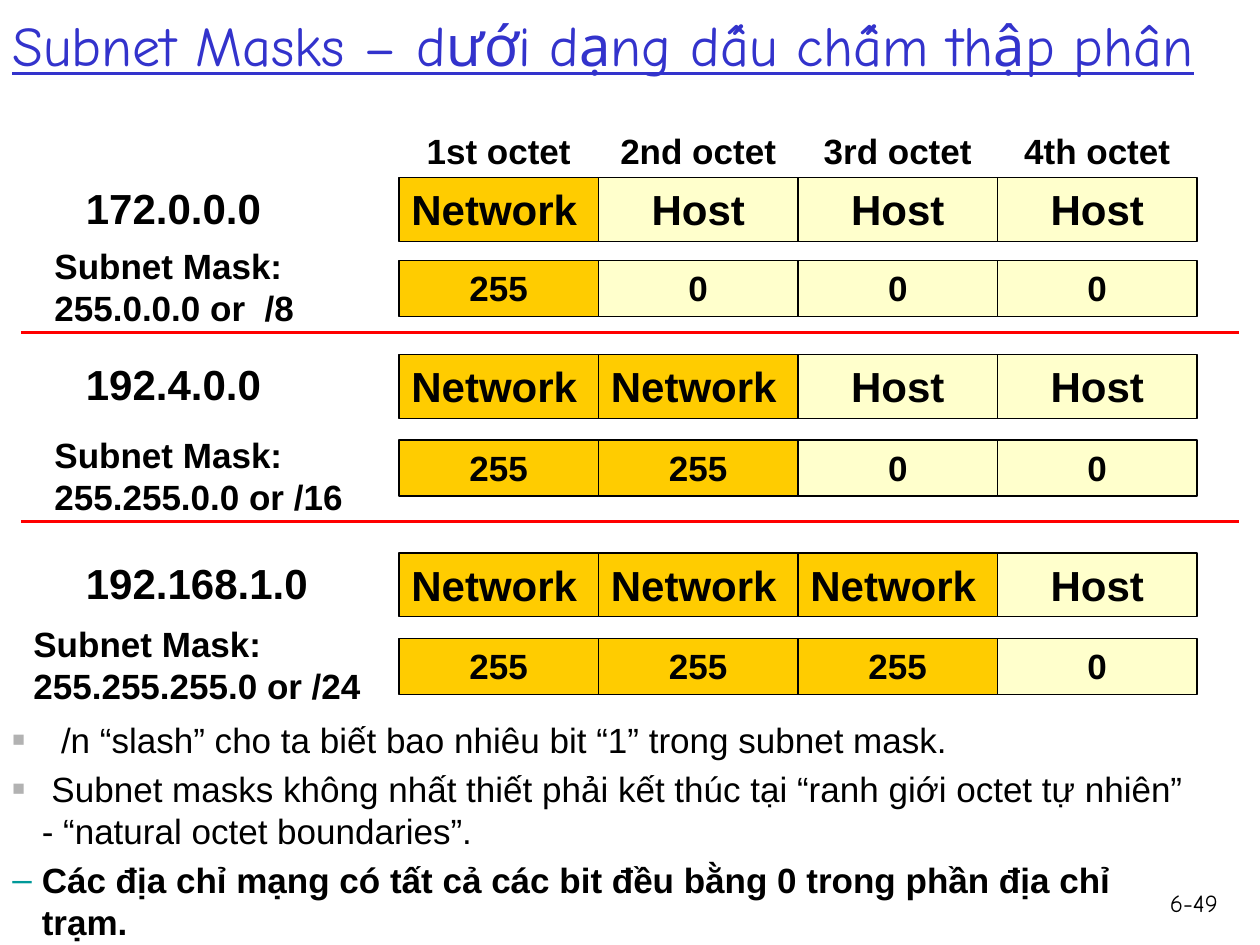
from lxml import etree
from pptx import Presentation
from pptx.dml.color import RGBColor
from pptx.enum.shapes import MSO_CONNECTOR, MSO_SHAPE
from pptx.enum.text import MSO_ANCHOR, PP_ALIGN
from pptx.oxml.ns import qn
from pptx.util import Pt

LEFT, CENTER, RIGHT = PP_ALIGN.LEFT, PP_ALIGN.CENTER, PP_ALIGN.RIGHT
TOP, MIDDLE = MSO_ANCHOR.TOP, MSO_ANCHOR.MIDDLE
RECTANGLE = MSO_SHAPE.RECTANGLE
STRAIGHT = MSO_CONNECTOR.STRAIGHT

BLACK = RGBColor(0x00, 0x00, 0x00)
TITLE_BLUE = RGBColor(0x33, 0x33, 0xCC)
NETWORK_GOLD = RGBColor(0xFF, 0xCC, 0x00)
HOST_CREAM = RGBColor(0xFF, 0xFF, 0xCC)
RULE_RED = RGBColor(0xFF, 0x00, 0x00)
BULLET_GRAY = RGBColor(0xB2, 0xB2, 0xB2)
BULLET_TEAL = RGBColor(0x00, 0x99, 0x99)

BODY_FONT = "Arial"
HAND_FONT = "Comic Neue"

OCTETS = ["1st octet", "2nd octet", "3rd octet", "4th octet"]
GRID_LEFT = 228
OCTET_WIDTH = 114
MASK_LABEL_TOP = 136
RULE_TOP = 190
GROUP_PITCH = 108

# address, mask label, label left, label width, address row top, mask row top
GROUPS = [
    ("172.0.0.0", "Subnet Mask: 255.0.0.0 or  /8", 24, 192, 101.5, 149),
    ("192.4.0.0", "Subnet Mask: 255.255.0.0 or /16", 24, 192, 202.5, 251.5),
    ("192.168.1.0", "Subnet Mask: 255.255.255.0 or /24", 12, 204, 316, 365),
]

# text, bold, bullet, bullet colour, bullet size in percent, left margin
NOTES = [
    ("/n “slash” cho ta biết bao nhiêu bit “1” trong subnet mask.",
     False, "■", BULLET_GRAY, 60, 27.8),
    (" Subnet masks không nhất thiết phải kết thúc tại “ranh giới octet tự "
     "nhiên” - “natural octet boundaries”.",
     False, "■", BULLET_GRAY, 60, 16.8),
    ("Các địa chỉ mạng có tất cả các bit đều bằng 0 trong phần địa chỉ trạm.",
     True, "–", BULLET_TEAL, 100, 16.8),
]


def format_paragraph(paragraph, text, size=20, font=BODY_FONT, color=BLACK,
                     bold=False, underline=False, align=LEFT):
    paragraph.text = text
    paragraph.alignment = align
    paragraph.font.size = Pt(size)
    paragraph.font.name = font
    paragraph.font.color.rgb = color
    paragraph.font.bold = bold
    paragraph.font.underline = underline


def add_text(slide, text, box, anchor=TOP, **text_format):
    shape = slide.shapes.add_textbox(*map(Pt, box))
    shape.text_frame.word_wrap = True
    shape.text_frame.vertical_anchor = anchor
    format_paragraph(shape.text_frame.paragraphs[0], text, **text_format)
    return shape


def add_cell(slide, text, box, fill, **text_format):
    shape = slide.shapes.add_shape(RECTANGLE, *map(Pt, box))
    shape.shadow.inherit = False
    shape.fill.solid()
    shape.fill.fore_color.rgb = fill
    shape.line.color.rgb = BLACK
    shape.line.width = Pt(0.75)
    shape.text_frame.word_wrap = True
    shape.text_frame.vertical_anchor = TOP
    format_paragraph(shape.text_frame.paragraphs[0], text, bold=True, **text_format)


def add_rule(slide, left, top, width):
    line = slide.shapes.add_connector(STRAIGHT, Pt(left), Pt(top), Pt(left + width), Pt(top))
    line.line.color.rgb = RULE_RED
    line.line.width = Pt(2)
    etree.SubElement(line._element.spPr, qn("a:effectLst"))


def set_bullet(paragraph, character, color, percent, margin):
    properties = paragraph._p.get_or_add_pPr()
    properties.set("marL", str(Pt(margin)))
    properties.set("indent", str(-Pt(margin)))
    bullet_color = etree.SubElement(properties, qn("a:buClr"))
    etree.SubElement(bullet_color, qn("a:srgbClr"), val=str(color))
    etree.SubElement(properties, qn("a:buSzPct"), val=str(percent * 1000))
    etree.SubElement(properties, qn("a:buFont"), typeface=BODY_FONT)
    etree.SubElement(properties, qn("a:buChar"), char=character)


def octet_box(index, top, height):
    return GRID_LEFT + index * OCTET_WIDTH, top, OCTET_WIDTH, height


def add_octet_headings(slide, top, height):
    for index, heading in enumerate(OCTETS):
        add_text(slide, heading, octet_box(index, top, height), bold=True, align=CENTER)


def add_address_group(slide, index, group):
    """Place one address with its mask; the first index + 1 octets are network."""
    address, mask, mask_left, mask_width, address_top, mask_top = group
    add_text(slide, address, (42, address_top - 1, 180, 36), size=24, bold=True)
    label_top = MASK_LABEL_TOP + index * GROUP_PITCH
    add_text(slide, mask, (mask_left, label_top, mask_width, 55.5), bold=True)
    for octet in range(len(OCTETS)):
        if octet <= index:
            name, value, fill, align = "Network", "255", NETWORK_GOLD, LEFT
        else:
            name, value, fill, align = "Host", "0", HOST_CREAM, CENTER
        add_cell(slide, name, octet_box(octet, address_top, 36.5), fill, size=24, align=align)
        add_cell(slide, value, octet_box(octet, mask_top, 32), fill, align=CENTER)


def add_notes_list(slide, box):
    shape = slide.shapes.add_textbox(*map(Pt, box))
    frame = shape.text_frame
    frame.word_wrap = True
    for index, (text, bold, *bullet) in enumerate(NOTES):
        paragraph = frame.add_paragraph() if index else frame.paragraphs[0]
        set_bullet(paragraph, *bullet)
        if index:
            paragraph.space_before = Pt(4)
        format_paragraph(paragraph, text, bold=bold)


def main():
    presentation = Presentation()
    presentation.slide_width = Pt(720)
    presentation.slide_height = Pt(540)
    slide = presentation.slides.add_slide(presentation.slide_layouts[6])

    add_text(slide, "Subnet Masks – dưới dạng dấu chấm thập phân", (0, -20, 720, 90),
             anchor=MIDDLE, size=32, font=HAND_FONT, color=TITLE_BLUE, underline=True)
    add_octet_headings(slide, 70.5, 31)
    for index, group in enumerate(GROUPS):
        add_address_group(slide, index, group)
    for index in range(len(GROUPS) - 1):
        add_rule(slide, 12, RULE_TOP + index * GROUP_PITCH, 696)
    add_notes_list(slide, (0, 407, 690, 113))
    add_text(slide, "6-49", (654, 504, 49, 36), size=14, font=HAND_FONT, align=RIGHT)

    presentation.save("out.pptx")


if __name__ == "__main__":
    main()
